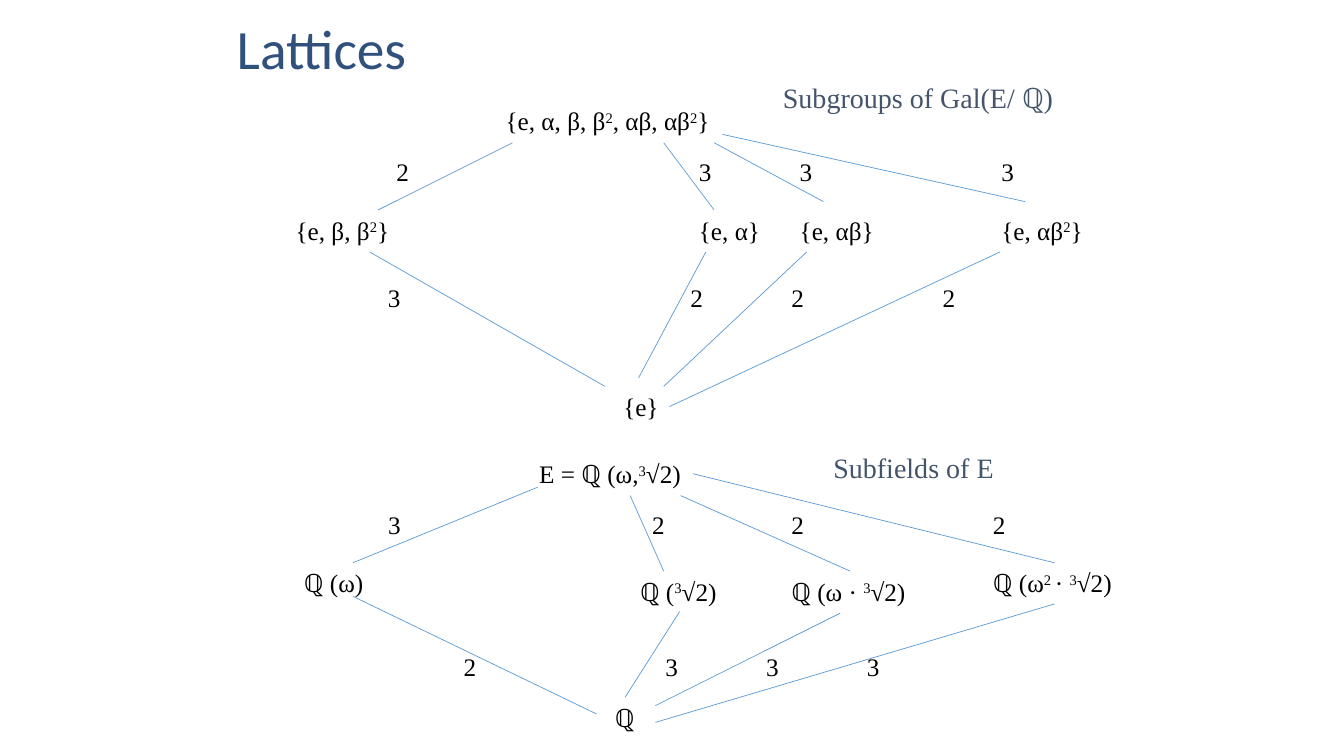
from lxml import etree
from pptx import Presentation, util as u
from pptx.dml.color import RGBColor
from pptx.enum import shapes, text
from pptx.oxml.ns import qn

COLORS = {"title": "31517D", "heading": "44546A", "body": "000000", "edge": "5B9BD5"}
SERIF = "Times New Roman"


class Lattice:
    cell = u.Inches(1) / 12

    def __init__(self, prs):
        self.s = prs.slides.add_slide(prs.slide_layouts[6])

    def grid(self, *cells):
        return [u.Emu(round(c * self.cell)) for c in cells]

    def label(self, x, y, w, words, h=4.8, size=18, font=SERIF, color="body", stops=()):
        tf = self.s.shapes.add_textbox(*self.grid(x, y, w, h)).text_frame
        tf.word_wrap = False
        tf.auto_size = text.MSO_AUTO_SIZE.SHAPE_TO_FIT_TEXT
        p = tf.paragraphs[0]
        if stops:
            tabs = etree.SubElement(p._p.get_or_add_pPr(), qn("a:tabLst"))
            for stop in stops:
                etree.SubElement(tabs, qn("a:tab"), pos=str(u.Inches(stop)), algn="l")
        p.font.name, p.font.size = font, u.Pt(size)
        p.font.color.rgb = RGBColor.from_string(COLORS[color])
        for i, part in enumerate(words.split("^")):
            r = p.add_run()
            r.text = part
            if i % 2:
                r._r.get_or_add_rPr().set("baseline", "30000")
        return tf

    def title(self, x, y, w, h, words):
        tf = self.label(x, y, w, words, h, 39.6, "Calibri", "title")
        tf.word_wrap = True
        tf.auto_size = text.MSO_AUTO_SIZE.NONE
        tf.vertical_anchor = text.MSO_ANCHOR.MIDDLE
        tf.paragraphs[0].line_spacing = 0.9

    def heading(self, x, y, w, words):
        self.label(x, y, w, words, 5.25, 20, color="heading")

    def row(self, x, y, w, items, stops):
        self.label(x, y, w, "\t".join(items), stops=stops)

    def edge(self, *ends):
        sp = self.s.shapes.add_connector(shapes.MSO_CONNECTOR.STRAIGHT, *self.grid(*ends))
        sp.line.color.rgb = RGBColor.from_string(COLORS["edge"])
        sp.line.width = u.Pt(0.5)
        etree.SubElement(sp._element.spPr, qn("a:effectLst"))


prs = Presentation()
prs.slide_width, prs.slide_height = u.Inches(13.33), u.Inches(7.5)
lattice = Lattice(prs)

lattice.title(27, 2, 102, 8.25, "Lattices")
lattice.heading(92, 9, 34.8, "Subgroups of Gal(E/ ℚ)")
lattice.heading(98, 53, 21.6, "Subfields of E")

nodes = [
    (59, 12, 28.2, "{e, α, β, β^2^, αβ, αβ^2^}"),
    (73, 46, 6.7, "{e}"),
    (63, 54, 19.5, "E = ℚ (ω,^3^√2)"),
    (35, 67, 9.5, "ℚ (ω)"),
    (75, 68, 11.8, "ℚ (^3^√2)"),
    (93, 68, 16.2, "ℚ (ω · ^3^√2)"),
    (117, 67, 16.9, "ℚ (ω^2 ^· ^3^√2)"),
    (72, 83, 4.7, "ℚ"),
]
for node in nodes:
    lattice.label(*node)

rows = [
    (34, 25, 97.1, ["{e, β, β^2^}", "{e, α}", "{e, αβ}", "{e, αβ^2^}"], (4, 5, 7)),
    (46, 18, 76.7, "2333", (3, 4, 6)),
    (45, 33, 70.6, "3222", (3, 4, 5.5)),
    (45, 60, 76.7, "3222", (2.62, 4, 6)),
    (54, 77, 52.4, "2333", (2, 3, 4)),
]
for row in rows:
    lattice.row(*row)

edges = [
    (61, 17, 45, 25), (79, 17, 85, 25), (85, 17, 98, 24), (86, 16, 122, 24),
    (44, 30, 72, 46), (84, 30, 76, 45), (96, 30, 79, 46), (119, 30, 79.7, 48.4),
    (64, 58, 42, 67), (75, 59, 79, 68), (81, 59, 101.2, 68), (82.5, 56.4, 125.5, 67),
    (42, 71, 71, 85), (80.9, 72.8, 74.4, 83), (100, 73, 78, 84), (125.5, 71.9, 78, 86),
]
for edge in edges:
    lattice.edge(*edge)

prs.save("out.pptx")
